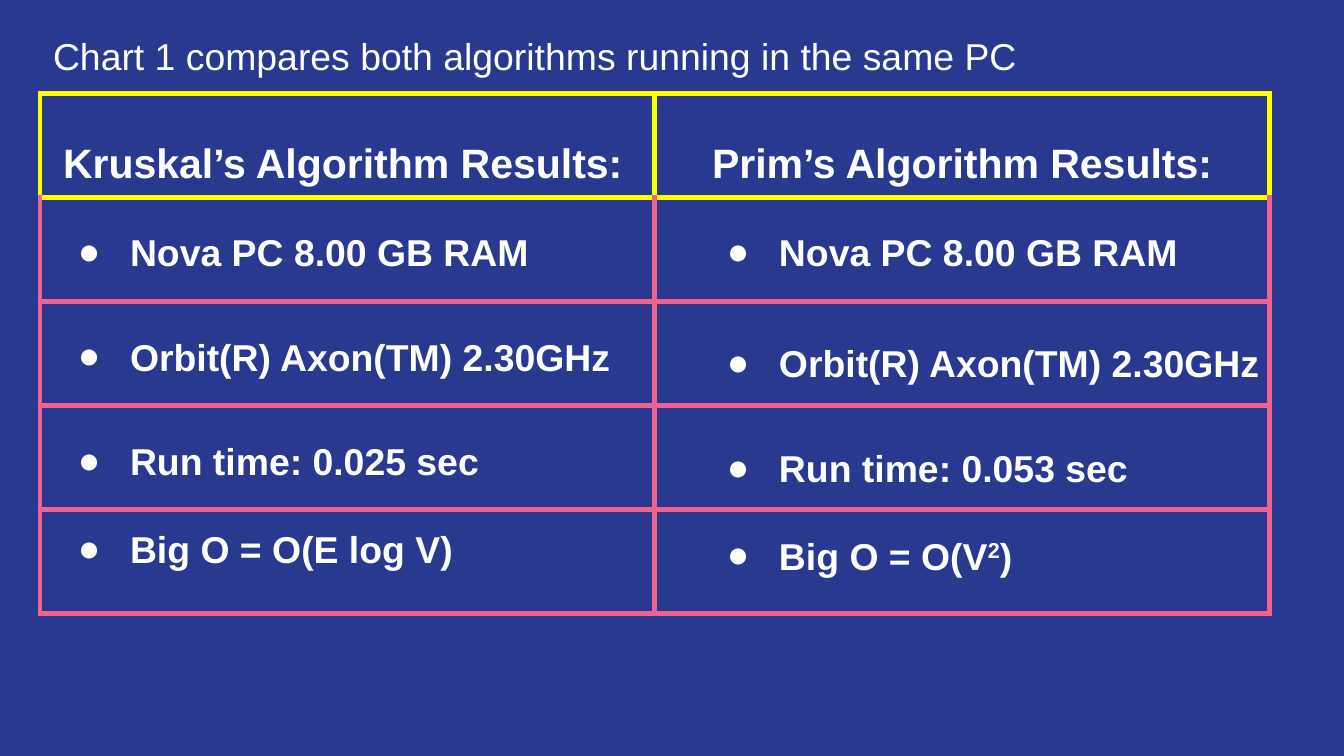
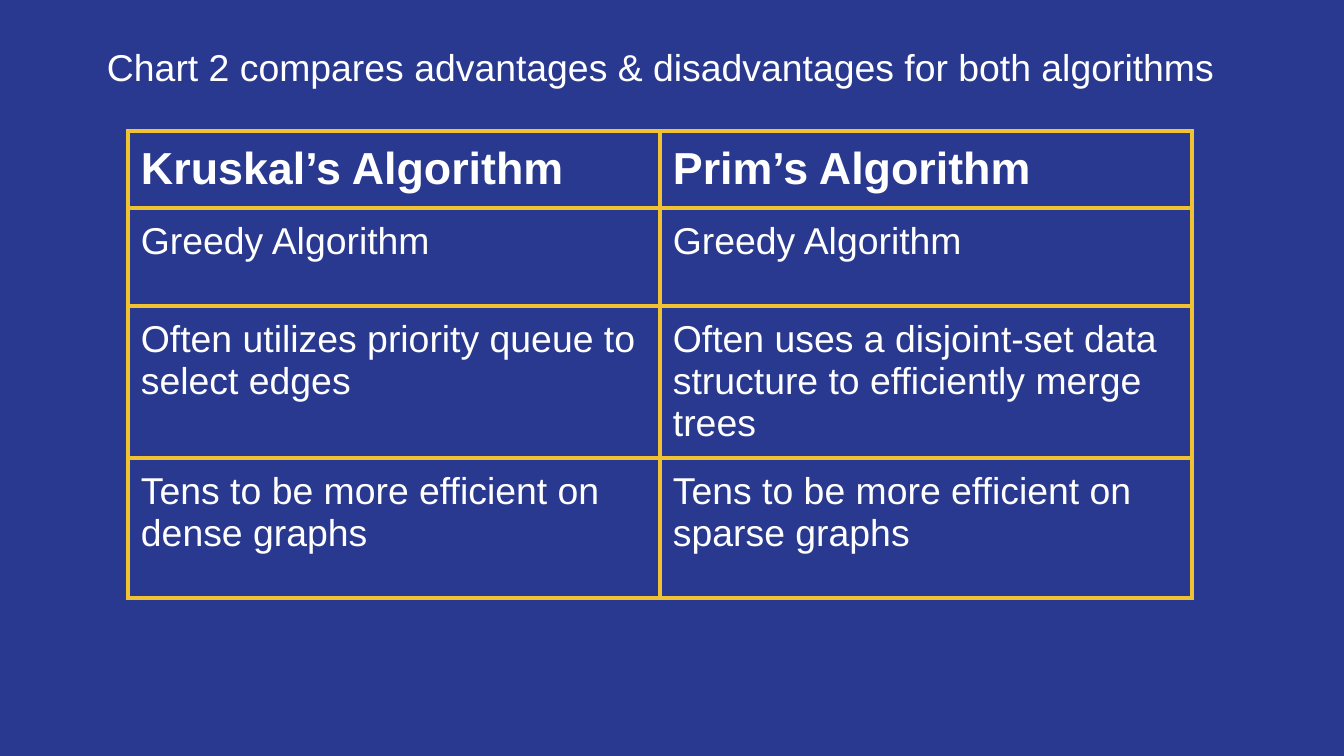
from dataclasses import dataclass

from pptx import Presentation
from pptx.dml.color import RGBColor
from pptx.enum.text import MSO_ANCHOR, MSO_AUTO_SIZE, PP_ALIGN
from pptx.oxml.ns import qn
from pptx.util import Pt
from lxml.etree import SubElement


@dataclass(frozen=True)
class Theme:
    font: str = "Arial"
    background: str = "2A3990"
    text: str = "FFFFFF"
    pink: str = "F06292"
    yellow: str = "FFFF00"
    gold: str = "F1C232"
    body_size: int = 20
    results_size: int = 22
    header_size: int = 24


THEME = Theme()
WIDTH, HEIGHT = 1344, 756
INSET = 13
TITLE_ONLY, TWO_CONTENT = 5, 3


def px(length):
    """Turn pixels (134.4 to the inch) into EMU."""
    return round(length * 914400 / 134.4)


def add_run(paragraph, text, size=THEME.body_size, bold=False, superscript=False):
    run = paragraph.add_run()
    run.text = text
    run.font.name = THEME.font
    run.font.size = Pt(size)
    run.font.bold = bold
    run.font.color.rgb = RGBColor.from_string(THEME.text)
    if superscript:
        run.font._element.set("baseline", "30000")


def place(shape, box):
    """Move a placeholder to its box and return its plain, top-anchored frame."""
    shape.left, shape.top, shape.width, shape.height = map(px, box)
    frame = shape.text_frame
    frame.word_wrap = True
    frame.auto_size = MSO_AUTO_SIZE.NONE
    frame.vertical_anchor = MSO_ANCHOR.TOP
    frame.margin_left = frame.margin_right = px(INSET)
    frame.margin_top = frame.margin_bottom = px(INSET)
    return frame


def set_bullet(paragraph, bulleted):
    properties = paragraph._p.get_or_add_pPr()
    properties.set("marL", str(px(67) if bulleted else 0))
    properties.set("indent", str(px(-52) if bulleted else 0))
    if bulleted:
        color = SubElement(properties, qn("a:buClr"))
        SubElement(color, qn("a:srgbClr"), val=THEME.text)
        SubElement(properties, qn("a:buChar"), char="●")
    else:
        SubElement(properties, qn("a:buNone"))


def add_title(slide, box, text):
    paragraph = place(slide.shapes.title, box).paragraphs[0]
    paragraph.alignment = PP_ALIGN.LEFT
    add_run(paragraph, text)


def add_results(placeholder, box, heading, items):
    """Heading and bullets; an item is (space before, line spacing, runs)."""
    frame = place(placeholder, box)
    paragraph = frame.paragraphs[0]
    set_bullet(paragraph, False)
    paragraph.space_before = Pt(0)
    add_run(paragraph, heading, THEME.results_size, bold=True)
    for space, line_spacing, runs in items:
        paragraph = frame.add_paragraph()
        set_bullet(paragraph, True)
        paragraph.space_before = Pt(space)
        paragraph.line_spacing = line_spacing
        for index, text in enumerate(runs):
            add_run(paragraph, text, bold=True, superscript=index == 1)


def set_borders(cell, width, color, top_color):
    properties = cell._tc.get_or_add_tcPr()
    for side in "LRTB":
        line = SubElement(properties, qn(f"a:ln{side}"), w=str(Pt(width)))
        fill = SubElement(line, qn("a:solidFill"))
        SubElement(fill, qn("a:srgbClr"), val=top_color if side == "T" else color)


def add_grid(slide, origin, column_width, row_heights, line_width, header_color, body_color):
    """Two-column unfilled table, its header row outlined in its own colour."""
    left, top = origin
    frame = slide.shapes.add_table(
        len(row_heights), 2, px(left), px(top), px(2 * column_width), px(sum(row_heights)))
    table = frame.table
    table.first_row = table.horz_banding = False
    for column in table.columns:
        column.width = px(column_width)
    for index, height in enumerate(row_heights):
        table.rows[index].height = px(height)
        color = body_color if index else header_color
        top_color = header_color if index < 2 else body_color
        for cell in table.rows[index].cells:
            set_borders(cell, line_width, color, top_color)
            cell.fill.background()
            cell.margin_left = cell.margin_right = px(INSET)
            cell.margin_top = cell.margin_bottom = px(INSET)
    return table


def results_slide(presentation):
    slide = presentation.slides.add_slide(presentation.slide_layouts[TWO_CONTENT])
    add_grid(slide, (40, 94), 615, [104] * 5, 3, THEME.yellow, THEME.pink)
    add_title(slide, (40, 20, 1177, 50),
              "Chart 1 compares both algorithms running in the same PC")
    columns = [
        ((50, 124, 603, 448), "Kruskal’s Algorithm Results:", 1.0,
         "Run time: 0.025 sec", ["Big O = O(E log V)"]),
        ((699, 124, 620, 448), "Prim’s Algorithm Results:", 1.15,
         "Run time: 0.053 sec", ["Big O = O(V", "2", ")"]),
    ]
    for index, (box, heading, processor_spacing, run_time, big_o) in enumerate(columns, 1):
        add_results(slide.placeholders[index], box, heading, [
            (23, 1.0, ["Nova PC 8.00 GB RAM"]),
            (32, processor_spacing, ["Orbit(R) Axon(TM) 2.30GHz"]),
            (32, 1.0, [run_time]),
            (23, 1.0, big_o),
        ])


def comparison_slide(presentation):
    slide = presentation.slides.add_slide(presentation.slide_layouts[TITLE_ONLY])
    add_title(slide, (94, 31, 1193, 66),
              "Chart 2 compares advantages & disadvantages for both algorithms")
    rows = [
        ("Kruskal’s Algorithm", "Prim’s Algorithm"),
        ("Greedy Algorithm", "Greedy Algorithm"),
        ("Often utilizes priority queue to select edges",
         "Often uses a disjoint-set data structure to efficiently merge trees"),
        ("Tens to be more efficient on dense graphs",
         "Tens to be more efficient on sparse graphs"),
    ]
    table = add_grid(slide, (128, 131), 532, [77, 98, 152, 140], 2.25, THEME.gold, THEME.gold)
    for row_index, texts in enumerate(rows):
        is_header = row_index == 0
        size = THEME.header_size if is_header else THEME.body_size
        for column_index, text in enumerate(texts):
            cell = table.cell(row_index, column_index)
            add_run(cell.text_frame.paragraphs[0], text, size, bold=is_header)


def main():
    presentation = Presentation()
    presentation.slide_width, presentation.slide_height = px(WIDTH), px(HEIGHT)
    # Shared background
    fill = presentation.slide_master.background.fill
    fill.solid()
    fill.fore_color.rgb = RGBColor.from_string(THEME.background)
    results_slide(presentation)
    comparison_slide(presentation)
    presentation.save("out.pptx")


if __name__ == "__main__":
    main()
